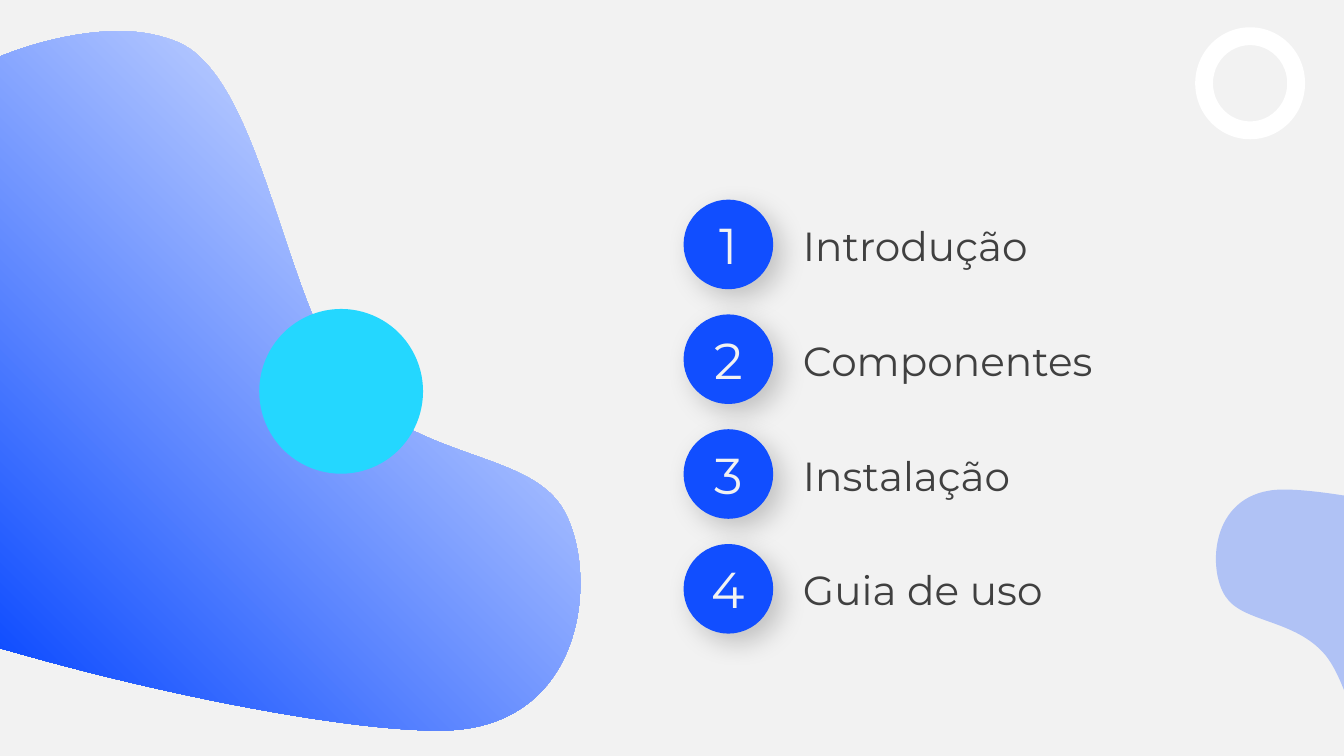
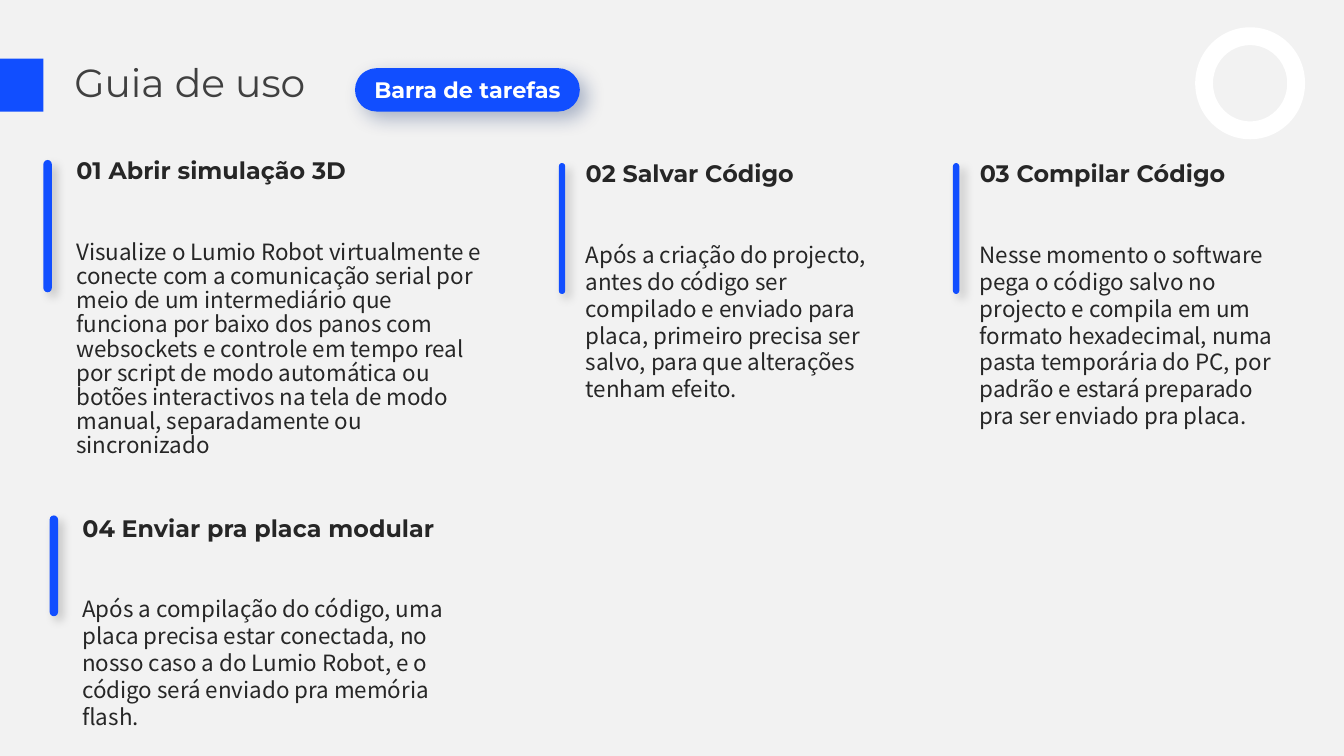
from lxml import etree
from pptx import Presentation
from pptx.dml.color import RGBColor
from pptx.enum.shapes import MSO_SHAPE
from pptx.enum.text import MSO_ANCHOR, PP_ALIGN
from pptx.oxml.ns import qn
from pptx.util import Pt

ELLIPSE, DONUT = MSO_SHAPE.OVAL, MSO_SHAPE.DONUT
RECT, ROUNDED = MSO_SHAPE.RECTANGLE, MSO_SHAPE.ROUNDED_RECTANGLE
LEFT, CENTER = PP_ALIGN.LEFT, PP_ALIGN.CENTER
MIDDLE = MSO_ANCHOR.MIDDLE

BLUE = RGBColor(0x11, 0x4E, 0xFF)
CYAN = RGBColor(0x24, 0xD7, 0xFF)
NAVY = RGBColor(0x00, 0x20, 0x60)
BLACK = RGBColor(0x00, 0x00, 0x00)
WHITE = RGBColor(0xFF, 0xFF, 0xFF)
PALE = RGBColor(0xF2, 0xF2, 0xF2)
GRAY = RGBColor(0x40, 0x40, 0x40)
DARK = RGBColor(0x26, 0x26, 0x26)
HEAD_FONT, BODY_FONT = "Montserrat", "Noto Sans CJK SC"

# Shadows: colour, opacity %, blur, distance
DISC_SHADOW = (BLACK, 20, 19, 9)
BAR_SHADOW = (BLACK, 20, 7, 5)
PILL_SHADOW = (NAVY, 30, 14, 7)

# Content
AGENDA = ["Introdução", "Componentes", "Instalação", "Guia de uso"]
TITLE, TOPIC = "Guia de uso", "Barra de tarefas"

# Steps: heading, body, line spacing, text left, heading top, body top, width, bar
STEPS = [
    ("01 Abrir simulação 3D",
     "Visualize o Lumio Robot virtualmente e conecte com a comunicação serial "
     "por meio de um intermediário que funciona por baixo dos panos com "
     "websockets e controle em tempo real por script de modo automática ou "
     "botões interactivos na tela de modo manual, separadamente ou sincronizado",
     0.9, 47.5, 108, 168.6, 307, (31, 114.3, 6, 94.5)),
    ("02 Salvar Código",
     "Após a criação do projecto, antes do código ser compilado e enviado para "
     "placa, primeiro precisa ser salvo, para que alterações tenham efeito.",
     1, 411.3, 110, 168.7, 227.5, (399.2, 116.5, 4.5, 93.5)),
    ("03 Compilar Código",
     "Nesse momento o software pega o código salvo no projecto e compila em um "
     "formato hexadecimal, numa pasta temporária do PC, por padrão e estará "
     "preparado pra ser enviado pra placa.",
     1, 692.8, 110, 168.7, 227.5, (680.7, 116.5, 4.5, 93.5)),
    ("04 Enviar pra placa modular",
     "Após a compilação do código, uma placa precisa estar conectada, no nosso "
     "caso a do Lumio Robot, e o código será enviado pra memória flash.",
     1, 51.8, 363.3, 421.7, 302.5, (35.5, 368.2, 6, 72)),
]

# Outlines in points: a box, then a start, two-number lines and six-number curves
BIG_BLOB = ((0, 22.3, 414.7, 499), [
    (90, 22.3), (104.4, 23, 117.4, 25.9, 128.9, 31),
    (187.2, 59, 203.8, 217.4, 249.1, 272.2),
    (294.5, 327.6, 373.7, 321.8, 400.3, 360.7),
    (427, 399.6, 423.4, 512.6, 326.2, 521.3),
    (271.4, 525.6, 133.2, 501.1, 10.1, 465.8),
    (0, 463), (0, 40.3), (11.5, 36), (38.9, 26.6, 66.2, 21.6, 90, 22.3),
])
SMALL_BLOB = ((868.3, 349.9, 196.6, 236.9), [
    (1022.4, 586.8), (1015.9, 586.8, 1009.4, 585.4, 1004.4, 583.2),
    (976.3, 569.5, 968.4, 494.6, 946.8, 468),
    (925.2, 442.1, 887.8, 445, 875.5, 426.2),
    (862.6, 407.5, 864, 354.2, 910.8, 349.9),
    (936.7, 347.8, 1002.2, 360, 1060.6, 376.6),
    (1065.6, 378), (1065.6, 578.2), (1059.8, 580.3),
    (1046.9, 584.6, 1033.9, 587.5, 1022.4, 586.8),
])


def add_shadow(sp, color, opacity, blur, distance):
    effects = sp._element.spPr.find(qn("a:effectLst"))
    outer = etree.SubElement(effects, qn("a:outerShdw"), blurRad=str(Pt(blur)),
                             dist=str(Pt(distance)), dir="2700000",
                             algn="tl", rotWithShape="0")
    tone = etree.SubElement(outer, qn("a:srgbClr"), val=str(color))
    etree.SubElement(tone, qn("a:alpha"), val=str(opacity * 1000))


def add_shape(s, kind, box, color, adj=None, shadow=None):
    sp = s.shapes.add_shape(kind, *map(Pt, box))
    sp.fill.solid()
    sp.fill.fore_color.rgb = color
    sp.line.fill.background()
    sp.shadow.inherit = False
    if adj is not None:
        sp.adjustments[0] = adj
    if shadow:
        add_shadow(sp, *shadow)
    return sp


def write(sp, text, size, color, font=HEAD_FONT, bold=False, align=LEFT, spacing=None):
    tf = sp.text_frame
    tf.word_wrap = True
    p = tf.paragraphs[0]
    p.text = text
    p.alignment = align
    p.line_spacing = spacing
    p.font.name, p.font.size, p.font.bold = font, Pt(size), bold
    p.font.color.rgb = color
    return tf


def add_text(s, box, *args, **style):
    return write(s.shapes.add_textbox(*map(Pt, box)), *args, **style)


def write_centered(sp, text, size, color, bold=False):
    tf = write(sp, text, size, color, bold=bold, align=CENTER)
    tf.margin_left = tf.margin_right = tf.margin_top = tf.margin_bottom = 0
    tf.vertical_anchor = MIDDLE


def add_blob(s, blob):
    """Frame the box as a freeform, then give it the curved outline."""
    (x, y, w, h), outline = blob
    builder = s.shapes.build_freeform(Pt(x), Pt(y))
    builder.add_line_segments([(Pt(x + w), Pt(y)), (Pt(x + w), Pt(y + h)),
                               (Pt(x), Pt(y + h))])
    sp = builder.convert_to_shape()
    track = next(sp._element.iter(qn("a:path")))
    for command in list(track):
        track.remove(command)
    for i, seg in enumerate(outline):
        tag = "a:moveTo" if i == 0 else "a:lnTo" if len(seg) == 2 else "a:cubicBezTo"
        command = etree.SubElement(track, qn(tag))
        for px, py in zip(seg[::2], seg[1::2]):
            etree.SubElement(command, qn("a:pt"), x=str(Pt(px - x)), y=str(Pt(py - y)))
    etree.SubElement(track, qn("a:close"))
    sp.line.fill.background()
    sp.shadow.inherit = False
    return sp


def new_slide(prs):
    s = prs.slides.add_slide(prs.slide_layouts[6])
    s.background.fill.solid()
    s.background.fill.fore_color.rgb = PALE
    add_shape(s, DONUT, (853.7, 19.5, 78.5, 80), WHITE, 0.162)
    return s


def agenda_slide(prs):
    s = new_slide(prs)
    # Blobs and accent disc
    fill = add_blob(s, BIG_BLOB).fill
    fill.gradient()
    fill.gradient_angle = 225
    for stop, color, pos in zip(fill.gradient_stops, (WHITE, BLUE), (0, 0.94)):
        stop.color.rgb = color
        stop.position = pos
    add_shape(s, ELLIPSE, (185.2, 220.7, 117, 117.7), CYAN)
    sp = add_blob(s, SMALL_BLOB)
    sp.fill.solid()
    sp.fill.fore_color.rgb = BLUE
    tone = sp._element.spPr.find(qn("a:solidFill"))[0]
    etree.SubElement(tone, qn("a:alpha"), val="29000")
    # Numbered entries
    for i, entry in enumerate(AGENDA):
        top = 142.6 + i * 82
        disc = add_shape(s, ELLIPSE, (488.3, top, 64, 64), BLUE, shadow=DISC_SHADOW)
        write_centered(disc, str(i + 1), 36, PALE)
        add_text(s, (566.5, top + 11.7, 236, 42.5), entry, 29, GRAY)


def steps_slide(prs):
    s = new_slide(prs)
    # Title band
    add_text(s, (46, 38, 204, 41), TITLE, 28, GRAY)
    add_shape(s, RECT, (0, 41.8, 31, 38), BLUE)
    pill = add_shape(s, ROUNDED, (253.6, 48.7, 160.6, 31), BLUE, 0.5, PILL_SHADOW)
    write_centered(pill, TOPIC, 16, WHITE, bold=True)
    # Steps
    for heading, body, spacing, left, head_top, body_top, width, bar in STEPS:
        add_text(s, (left, head_top, width, 58), heading, 17, DARK, bold=True)
        add_text(s, (left, body_top, width, 109), body, 16, DARK,
                 font=BODY_FONT, spacing=spacing)
        add_shape(s, ROUNDED, bar, BLUE, 0.5, BAR_SHADOW)


def main():
    prs = Presentation()
    prs.slide_width, prs.slide_height = Pt(960), Pt(540)
    agenda_slide(prs)
    steps_slide(prs)
    prs.save("out.pptx")


if __name__ == "__main__":
    main()
